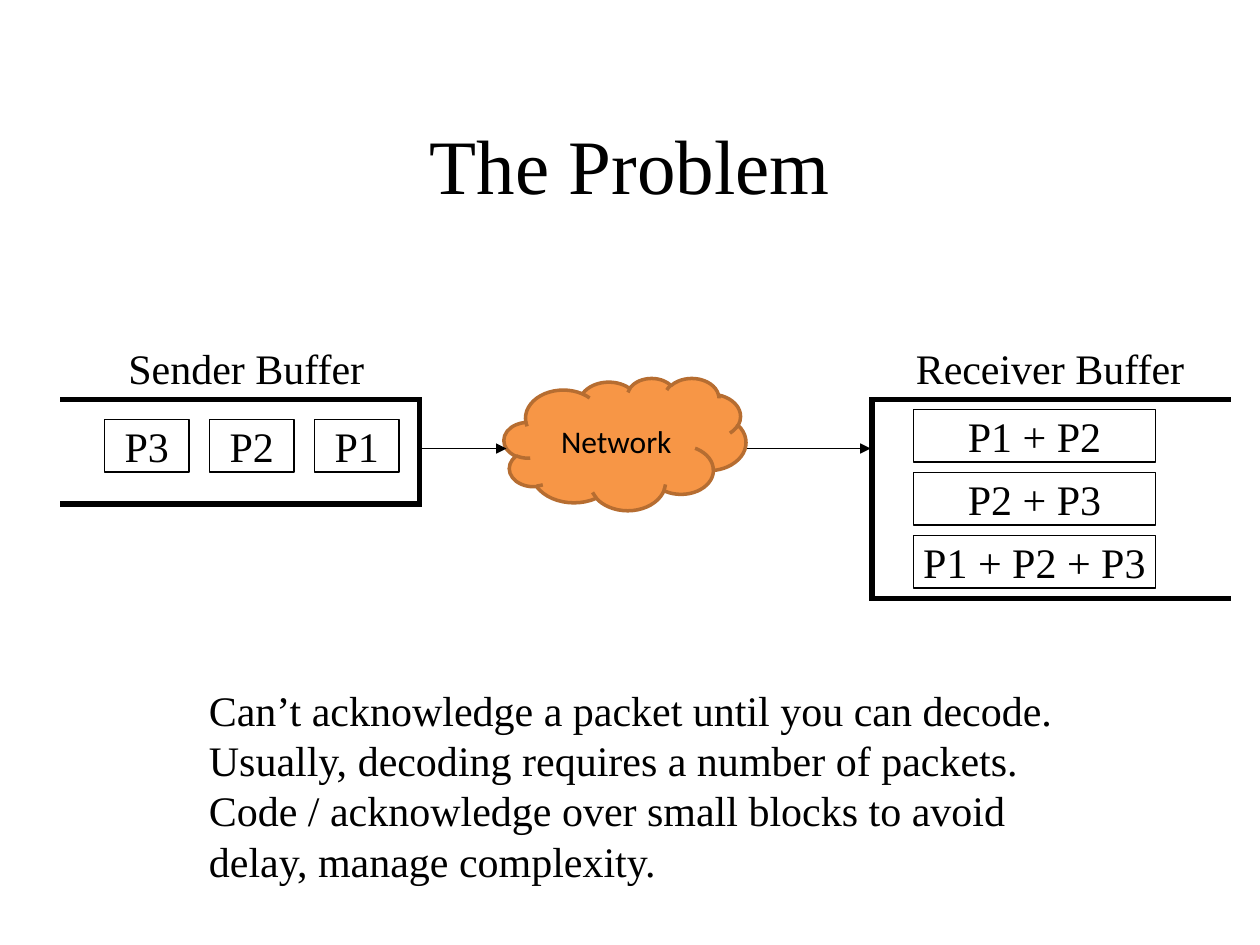
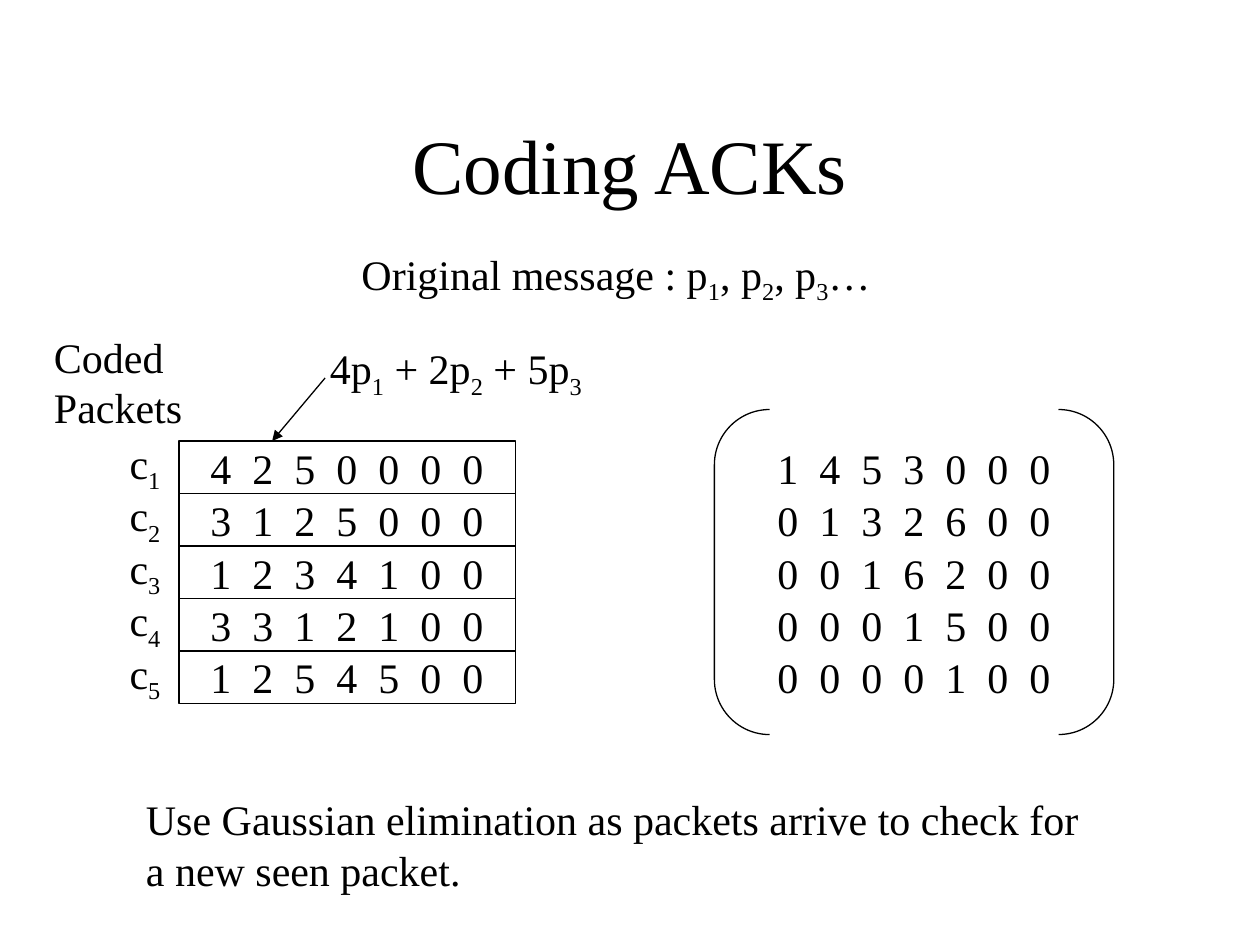
import pptx
import pptx.util
import pptx.dml.color
import pptx.enum.shapes
import pptx.enum.text
import pptx.oxml

Inches = pptx.util.Inches
Pt = pptx.util.Pt
Shape = pptx.enum.shapes.MSO_SHAPE
Align = pptx.enum.text.PP_ALIGN
Anchor = pptx.enum.text.MSO_ANCHOR
Fit = pptx.enum.text.MSO_AUTO_SIZE


class Theme:
    ink = "000000"
    cloud = "F79646"
    rim = "B66D31"
    serif = "Times New Roman"
    sans = "Calibri"
    head = 44
    body = 24
    small = 18
    thin = 0.75
    edge = 2
    thick = 3
    title = (0.75, 0.67, 8.5, 1.25)


ROW = 5 / 12
STEP = 1 / 3

PROBLEM = {
    "title": "The Problem",
    "sent": ["P3", "P2", "P1"],
    "got": ["P1 + P2", "P2 + P3", "P1 + P2 + P3"],
    "cloud": "Network",
    "notes": [
        (["Sender Buffer"], (0.92, 2.67, 2.08, 0.5)),
        (["Receiver Buffer"], (7.17, 2.67, 2.34, 0.5)),
        (["Can’t acknowledge a packet until you can decode.",
          "Usually, decoding requires a number of packets.",
          "Code / acknowledge over small blocks to avoid",
          "delay, manage complexity."], (1.56, 5.38, 6.9, 1.7)),
    ],
}

CODING = {
    "title": "Coding ACKs",
    "coded": ["4250000", "3125000", "1234100", "3312100", "1254500"],
    "solved": ["1453000", "0132600", "0016200", "0001500", "0000100"],
    "notes": [
        (["4p_1 + 2p_2 + 5p_3"], (2.52, 2.67, 2.2, 0.56)),
        (["Original message : p_1, p_2, p_3…"], (2.77, 1.92, 4.32, 0.56)),
        (["Coded", "Packets"], (0.33, 2.58, 1.22, 0.9)),
        (["Use Gaussian elimination as packets arrive to check for",
          "a new seen packet."], (1.06, 6.25, 7.6, 0.9)),
    ],
}


def paint(code):
    return pptx.dml.color.RGBColor.from_string(code)


def node(tag, **traits):
    item = pptx.oxml.xmlchemy.OxmlElement(tag)
    for name, value in traits.items():
        item.set(name, str(value))
    return item


def write(shape, lines, size=Theme.body, font=Theme.serif, align=Align.LEFT,
          anchor=Anchor.TOP, wrap=False, left=0.1, right=0.1, tabs=()):
    frame = shape.text_frame
    frame.word_wrap = wrap
    frame.auto_size = Fit.NONE
    frame.vertical_anchor = anchor
    frame.margin_left = Inches(left)
    frame.margin_right = Inches(right)
    for n, line in enumerate(lines):
        para = frame.paragraphs[0] if n == 0 else frame.add_paragraph()
        para.alignment = align
        if tabs:
            stops = node("a:tabLst")
            for place in tabs:
                stops.append(node("a:tab", pos=Inches(place), algn="l"))
            para._p.get_or_add_pPr().append(stops)
        first, *rest = line.split("_")
        parts = [(first, False)]
        for part in rest:
            parts += [(part[0], True), (part[1:], False)]
        for words, sub in parts:
            if words:
                run = para.add_run()
                run.text = words
                run.font.size = Pt(size)
                run.font.name = font
                run.font.color.rgb = paint(Theme.ink)
                if sub:
                    run._r.get_or_add_rPr().set("baseline", "-25000")


def note(slide, lines, area, **style):
    box = slide.shapes.add_textbox(*map(Inches, area))
    write(box, lines, **style)


def label(slide, lines, area):
    note(slide, lines, area, wrap=True, right=0)


def draw(slide, kind, area, fill=None, line=Theme.ink, width=Theme.thin):
    shape = slide.shapes.add_shape(kind, *map(Inches, area))
    shape.shadow.inherit = False
    if fill:
        shape.fill.solid()
        shape.fill.fore_color.rgb = paint(fill)
    else:
        shape.fill.background()
    shape.line.color.rgb = paint(line)
    shape.line.width = Pt(width)
    return shape


def rule(slide, start, end, width=Theme.thin, arrow=False):
    link = slide.shapes.add_connector(
        pptx.enum.shapes.MSO_CONNECTOR.STRAIGHT, *map(Inches, start + end))
    link.line.color.rgb = paint(Theme.ink)
    link.line.width = Pt(width)
    stroke = link.line._get_or_add_ln()
    if arrow:
        stroke.append(node("a:tailEnd", type="triangle"))
    else:
        stroke.set("cap", "sq")
    link._element.spPr.append(node("a:effectLst"))


def block(slide, words, area):
    write(draw(slide, Shape.RECTANGLE, area), [words],
          align=Align.CENTER, anchor=Anchor.MIDDLE)


def walls(slide, wall, far, top, base):
    for start, end in [((wall, top), (far, top)), ((wall, base), (far, base)),
                       ((wall, top), (wall, base))]:
        rule(slide, start, end, width=Theme.thick)


def begin(deck, data):
    slide = deck.slides.add_slide(deck.slide_layouts[6])
    note(slide, [data["title"]], Theme.title, size=Theme.head,
         align=Align.CENTER, anchor=Anchor.MIDDLE, wrap=True)
    for lines, area in data["notes"]:
        label(slide, lines, area)
    return slide


def problem(deck, data):
    slide = begin(deck, data)
    for n, words in enumerate(data["sent"]):
        block(slide, words, (0.83 + n * 2 * ROW, 3.33, 0.67, ROW))
    for n, words in enumerate(data["got"]):
        block(slide, words, (7.25, 3.25 + n * 0.5, 1.92, ROW))
    rule(slide, (5.41, 3.56), (6.91, 3.56), arrow=True)
    cloud = draw(slide, Shape.CLOUD, (4, 3, 1.92, 1.05),
                 fill=Theme.cloud, line=Theme.rim, width=Theme.edge)
    write(cloud, [data["cloud"]], size=Theme.small, font=Theme.sans,
          align=Align.CENTER, anchor=Anchor.MIDDLE, wrap=True)
    rule(slide, (3.32, 3.56), (4.02, 3.56), arrow=True)
    walls(slide, 3.33, 0.5, 3.17, 4)
    walls(slide, 6.92, 9.75, 3.17, 4.75)


def coding(deck, data):
    slide = begin(deck, data)
    pair = draw(slide, Shape.DOUBLE_BRACKET, (5.67, 3.25, 3.17, 2.58))
    pair.adjustments[0] = 0.17
    tabs = [n * STEP for n in range(1, 7)]
    style = dict(anchor=Anchor.MIDDLE, wrap=True, left=0.25, tabs=tabs)
    for n, (coded, solved) in enumerate(zip(data["coded"], data["solved"])):
        top = 3.5 + n * ROW
        row = draw(slide, Shape.RECTANGLE, (1.42, top, 2.67, ROW))
        write(row, ["\t".join(coded)], **style)
        note(slide, ["\t".join(solved)], (5.92, top, 2.67, ROW), **style)
        label(slide, [f"c_{n + 1}"], (0.93, top - 0.08, 0.44, 0.56))
    rule(slide, (2.58, 3), (2.16, 3.5), arrow=True)


def main():
    deck = pptx.Presentation()
    deck.slide_width = Inches(10)
    deck.slide_height = Inches(7.5)
    problem(deck, PROBLEM)
    coding(deck, CODING)
    deck.save("out.pptx")


if __name__ == "__main__":
    main()
